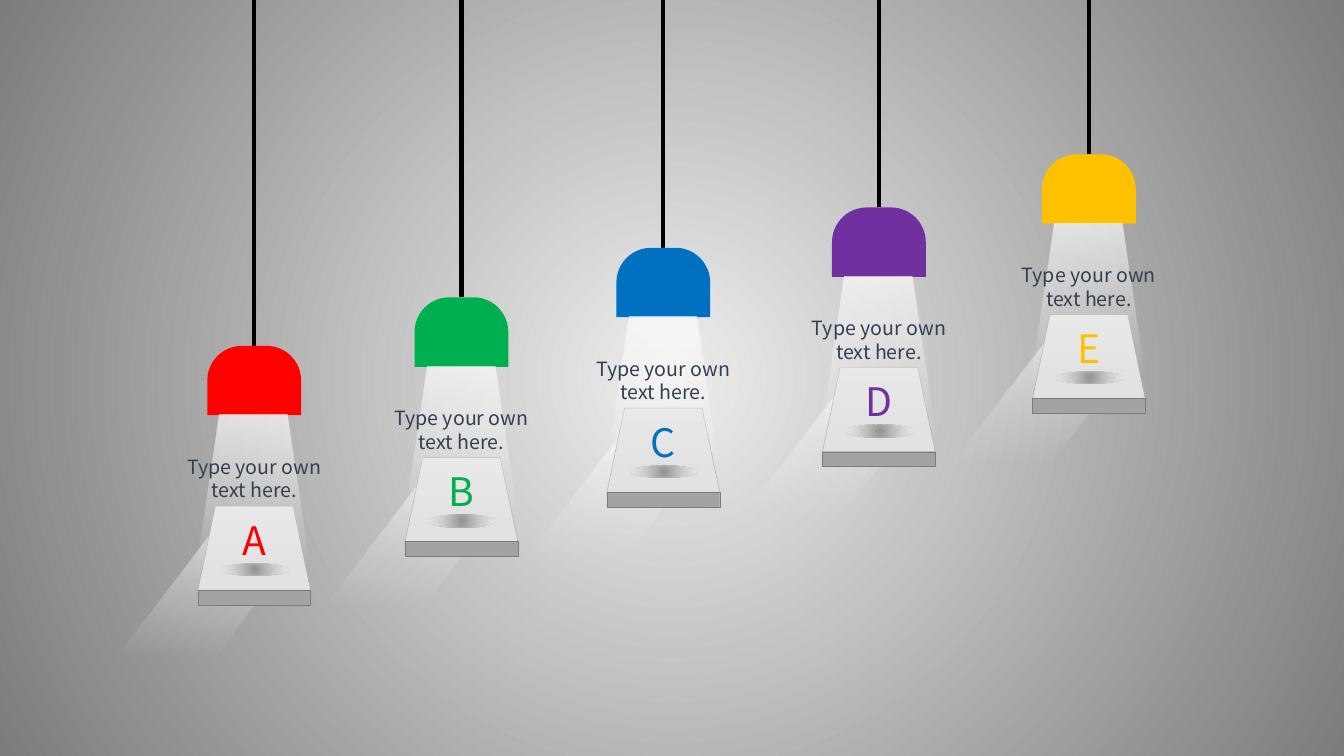
from lxml import etree
from pptx import Presentation
from pptx.dml.color import RGBColor
from pptx.enum.shapes import MSO_CONNECTOR, MSO_SHAPE
from pptx.enum.text import MSO_AUTO_SIZE, PP_ALIGN
from pptx.oxml.ns import qn
from pptx.util import Pt

TRAPEZOID, ELLIPSE = MSO_SHAPE.TRAPEZOID, MSO_SHAPE.OVAL
RECT, DOME = MSO_SHAPE.RECTANGLE, MSO_SHAPE.ROUND_2_SAME_RECTANGLE
STRAIGHT = MSO_CONNECTOR.STRAIGHT
CENTER, GROW = PP_ALIGN.CENTER, MSO_AUTO_SIZE.SHAPE_TO_FIT_TEXT

FONT = "Noto Sans CJK SC"
BLACK = RGBColor(0x00, 0x00, 0x00)
WHITE = RGBColor(0xFF, 0xFF, 0xFF)
PALE = RGBColor(0xED, 0xED, 0xED)
GREY = RGBColor(0x7C, 0x7C, 0x7C)
PLATE_TOP = RGBColor(0xE2, 0xE2, 0xE2)
PLATE_FRONT = RGBColor(0xA3, 0xA3, 0xA3)
NAVY = RGBColor(0x33, 0x3F, 0x50)
RED = RGBColor(0xFF, 0x00, 0x00)
GREEN = RGBColor(0x00, 0xB0, 0x50)
BLUE = RGBColor(0x00, 0x70, 0xC0)
PURPLE = RGBColor(0x70, 0x30, 0xA0)
AMBER = RGBColor(0xFF, 0xC0, 0x00)

# Gradient stops: position, colour, opacity (all in percent)
BACKDROP = [(0, PALE, 100), (100, GREY, 100)]
BEAM = [(0, WHITE, 0), (100, WHITE, 67)]
CAST_LIGHT = [(0, PALE, 0), (100, WHITE, 52)]
SPOT = [(2, GREY, 76), (100, PALE, 37)]

# Letter, colour, cord x, lamp top
LAMPS = [
    ("A", RED, 181.6, 247),
    ("B", GREEN, 329.6, 212.4),
    ("C", BLUE, 473.8, 177),
    ("D", PURPLE, 627.8, 148.2),
    ("E", AMBER, 777.8, 110.2),
]


def set_gradient(fill, root, stops, angle=None):
    """Give a fill a gradient: linear at an angle, or radial without one."""
    fill.solid()
    solid = next(root.iter(qn("a:solidFill")))
    grad = etree.Element(qn("a:gradFill"), rotWithShape="1")
    gs_list = etree.SubElement(grad, qn("a:gsLst"))
    for pos, color, opacity in stops:
        gs = etree.SubElement(gs_list, qn("a:gs"), pos=str(pos * 1000))
        clr = etree.SubElement(gs, qn("a:srgbClr"), val=str(color))
        if opacity < 100:
            etree.SubElement(clr, qn("a:alpha"), val=str(opacity * 1000))
    if angle is None:
        circle = etree.SubElement(grad, qn("a:path"), path="circle")
        etree.SubElement(circle, qn("a:fillToRect"),
                         dict.fromkeys("ltrb", "50000"))
    else:
        etree.SubElement(grad, qn("a:lin"), ang=str(angle * 60000), scaled="0")
    solid.getparent().replace(solid, grad)


class Canvas:
    """Holds the current slide and draws styled elements on it."""

    def __init__(self, slide):
        """Keep the slide to draw on."""
        self.s = slide

    def background(self, stops):
        """Fill the slide with a radial gradient."""
        set_gradient(self.s.background.fill, self.s.element, stops)

    def paint(self, sp, fill, angle=None, line=None):
        """Fill a shape with a colour or gradient stops, without shadow."""
        sp.shadow.inherit = False
        if isinstance(fill, RGBColor):
            sp.fill.solid()
            sp.fill.fore_color.rgb = fill
        else:
            set_gradient(sp.fill, sp.element.spPr, fill, angle)
        if line is None:
            sp.line.fill.background()
        else:
            sp.line.color.rgb = line
            sp.line.width = Pt(0.25)

    def shape(self, kind, cx, top, w, h, fill, adj=(), angle=None, line=None):
        """Add a preset shape centred on cx."""
        sp = self.s.shapes.add_shape(kind, Pt(cx - w / 2), Pt(top), Pt(w), Pt(h))
        for i, value in enumerate(adj):
            sp.adjustments[i] = value
        self.paint(sp, fill, angle, line)

    def outline(self, points, fill, angle):
        """Add a closed polygon."""
        start, *rest = [(Pt(x), Pt(y)) for x, y in points]
        builder = self.s.shapes.build_freeform(*start)
        builder.add_line_segments(rest, close=True)
        self.paint(builder.convert_to_shape(), fill, angle)

    def cord(self, x, bottom):
        """Add a black cord hanging from the top of the slide."""
        line = self.s.shapes.add_connector(STRAIGHT, Pt(x), Pt(bottom), Pt(x), 0)
        line.line.color.rgb = BLACK
        line.line.width = Pt(3)
        etree.SubElement(line.element.spPr, qn("a:effectLst"))

    def text(self, cx, top, w, h, text, size, color):
        """Add a centred text box."""
        sp = self.s.shapes.add_textbox(Pt(cx - w / 2), Pt(top), Pt(w), Pt(h))
        tf = sp.text_frame
        tf.word_wrap = True
        tf.auto_size = GROW
        p = tf.paragraphs[0]
        p.alignment = CENTER
        r = p.add_run()
        r.text = text
        r.font.name = FONT
        r.font.size = Pt(size)
        r.font.color.rgb = color

    def lamp(self, letter, color, x, y):
        """Add a hanging lamp lighting a lettered plate."""
        self.cord(x, y)
        corners = [(-29.5, 131.8), (32.4, 141.1), (-29.5, 224), (-98.6, 221.8)]
        self.outline([(x + dx, y + dy) for dx, dy in corners], CAST_LIGHT, 270)
        self.shape(TRAPEZOID, x, y + 114.5, 80.6, 60, PLATE_TOP, [0.21],
                   line=PLATE_FRONT)
        self.shape(RECT, x, y + 174.5, 80.6, 10.6, PLATE_FRONT, line=GREY)
        self.shape(DOME, x, y, 67, 49.6, color, [0.5, 0])
        self.shape(TRAPEZOID, x - 0.6, y + 49.2, 80.6, 110.2, BEAM, [0.2], 270)
        self.text(x, y + 118, 46.8, 41, letter, 28, color)
        self.shape(ELLIPSE, x + 0.6, y + 155.5, 47.5, 8.6, SPOT)
        self.text(x, y + 74.2, 131, 41, "Type your own text here.", 14, NAVY)


def main():
    """Build the slide and save it."""
    prs = Presentation()
    prs.slide_width, prs.slide_height = Pt(960), Pt(540)
    canvas = Canvas(prs.slides.add_slide(prs.slide_layouts[6]))
    canvas.background(BACKDROP)
    for lamp in LAMPS:
        canvas.lamp(*lamp)
    prs.save("out.pptx")


main()
